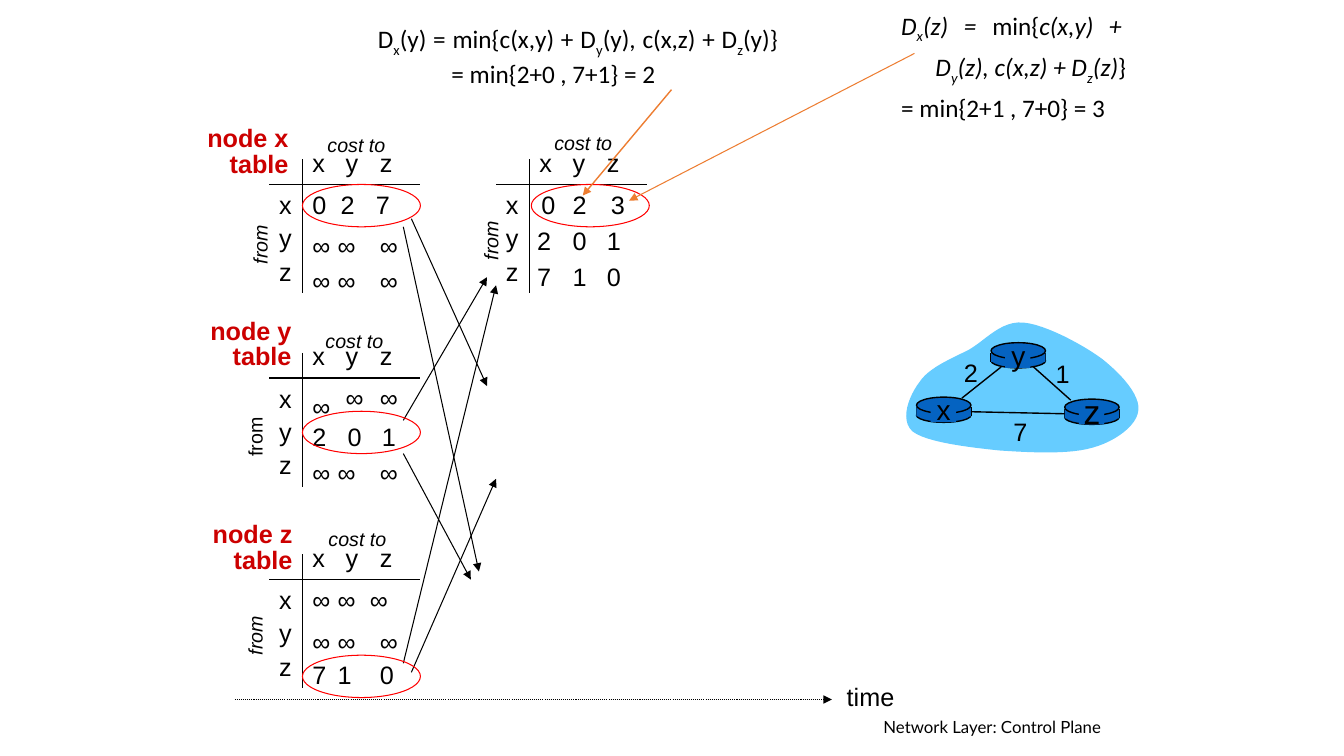
from lxml.etree import SubElement
from pptx import Presentation
from pptx.dml.color import RGBColor
from pptx.enum.dml import MSO_LINE
from pptx.enum.shapes import MSO_CONNECTOR, MSO_SHAPE
from pptx.enum.text import MSO_ANCHOR, MSO_AUTO_SIZE, PP_ALIGN
from pptx.oxml.ns import qn
from pptx.util import Inches, Pt


class Theme:
    """Colours, fonts and type sizes of the slide."""
    black = RGBColor(0, 0, 0)
    title = RGBColor(0xCC, 0, 0)
    ring = RGBColor(0xFF, 0, 0)
    callout = RGBColor(0xED, 0x7D, 0x31)
    cloud = RGBColor(0x66, 0xCC, 0xFF)
    router = RGBColor(0x05, 0x63, 0xC1)
    body_font, formula_font, footer_font = "Arial", "Calibri", "Lato"
    footer, small, body, large, huge = Pt(12), Pt(14), Pt(18), Pt(20), Pt(24)


def apply(target, values):
    """Set every attribute named in values on target."""
    for name, value in values.items():
        setattr(target, name, value)


class Board:
    """Draws the elements of the distance vector slide."""

    def __init__(self, slide, theme):
        self.theme = theme
        self.slide = slide
        self.shapes = slide.shapes

    def run(self, paragraph, text, **values):
        """Add one formatted run to a paragraph."""
        run = paragraph.add_run()
        run.text = text
        color = values.pop("color", self.theme.black)
        apply(run.font, {"name": self.theme.body_font, "size": self.theme.body} | values)
        run.font.color.rgb = color
        return run

    def box(self, left, top, width, height, wrap=False, grow=True, middle=False, turn=0):
        """Add an empty text box and return its text frame."""
        shape = self.shapes.add_textbox(*map(Inches, (left, top, width, height)))
        shape.rotation = turn
        apply(shape.text_frame, {
            "word_wrap": wrap,
            "auto_size": MSO_AUTO_SIZE.SHAPE_TO_FIT_TEXT if grow else MSO_AUTO_SIZE.NONE,
            "vertical_anchor": MSO_ANCHOR.MIDDLE if middle else MSO_ANCHOR.TOP})
        return shape.text_frame

    def text(self, place, lines, layout=None, tabs=(), frame=None, **values):
        """Add a text box with one paragraph per line."""
        text_frame = self.box(*place, **(frame or {}))
        for index, line in enumerate(lines.split("\n")):
            paragraph = text_frame.add_paragraph() if index else text_frame.paragraphs[0]
            apply(paragraph, layout or {})
            if tabs:
                stops = SubElement(paragraph._p.get_or_add_pPr(), qn("a:tabLst"))
                for stop in tabs:
                    SubElement(stops, qn("a:tab"), pos=str(Inches(stop)), algn="l")
            self.run(paragraph, line, **values)

    def row(self, left, top, values, tabs):
        """Add a row of tabbed values."""
        self.text((left, top, 1.08, 0.4), values, tabs=tabs, frame={"wrap": True})

    def cells(self, top, values, lefts=(3, 3.25, 3.67)):
        """Add one box for each value of a row."""
        for left, value in zip(lefts, values):
            self.text((left, top, 0.38, 0.4), value)

    def formula(self, place, paragraphs, hang, spacing=1.0):
        """Add a justified formula where an underscore marks a subscript letter."""
        text_frame = self.box(*place, middle=True)
        for index, parts in enumerate(paragraphs):
            paragraph = text_frame.add_paragraph() if index else text_frame.paragraphs[0]
            apply(paragraph, {"alignment": PP_ALIGN.JUSTIFY, "line_spacing": spacing})
            if not index:
                properties = paragraph._p.get_or_add_pPr()
                properties.set("marL", str(Inches(hang)))
                properties.set("indent", str(-Inches(hang)))
            for text, italic in parts:
                style = {"name": self.theme.formula_font, "italic": italic}
                if text == "\n":
                    paragraph.add_line_break()
                    continue
                first, *rest = text.split("_")
                self.run(paragraph, first, **style)
                for piece in rest:
                    subscript = self.run(paragraph, piece[0], **style)
                    subscript.font._rPr.set("baseline", "-25000")
                    self.run(paragraph, piece[1:], **style)

    def line(self, start, end, color=None, width=0.75, arrow=False, dash=None):
        """Add a straight line, with an arrowhead at its end if asked."""
        connector = self.shapes.add_connector(
            MSO_CONNECTOR.STRAIGHT, *map(Inches, (*start, *end)))
        connector.line.color.rgb = color or self.theme.black
        apply(connector.line, {"width": Pt(width), "dash_style": dash})
        if arrow:
            SubElement(connector.line._get_or_add_ln(), qn("a:tailEnd"), type="triangle")
        SubElement(connector._element.spPr, qn("a:effectLst"))
        return connector

    def paint(self, shape, fill=None, line=None, width=0.75):
        """Set the fill and outline of a shape."""
        shape.shadow.inherit = False
        for part, color in ((shape.fill, fill), (shape.line.fill, line)):
            if color is None:
                part.background()
            else:
                part.solid()
                part.fore_color.rgb = color
        if line is not None:
            shape.line.width = Pt(width)
        return shape

    def shape(self, kind, place, **style):
        """Add a preset shape."""
        return self.paint(self.shapes.add_shape(kind, *map(Inches, place)), **style)

    def cloud(self, start, curves, steps=12):
        """Add the network outline from cubic curves."""
        points, origin = [], start
        for corners in curves:
            for step in range(1, steps + 1):
                t = step / steps
                weights = ((1 - t) ** 3, 3 * t * (1 - t) ** 2, 3 * t * t * (1 - t), t ** 3)
                points.append(tuple(
                    Inches(sum(w * p[axis] for w, p in zip(weights, (origin, *corners))))
                    for axis in (0, 1)))
            origin = corners[-1]
        builder = self.shapes.build_freeform(*map(Inches, start))
        builder.add_line_segments(points, close=True)
        self.paint(builder.convert_to_shape(), fill=self.theme.cloud)

    def router(self, left, top, name, size, width, height):
        """Add a router drum with its name and return its band."""
        blue, black = self.theme.router, self.theme.black
        self.shape(MSO_SHAPE.OVAL, (left, top + 0.11, 0.54, 0.14), fill=blue, line=black, width=1)
        for side in (left, left + 0.54):
            self.line((side, top + 0.1), (side, top + 0.19), width=1)
        band = self.shape(MSO_SHAPE.RECTANGLE, (left, top + 0.1, 0.54, 0.09), fill=blue)
        self.shape(MSO_SHAPE.OVAL, (left, top, 0.54, 0.16), fill=blue, line=black, width=1)
        self.shape(MSO_SHAPE.RECTANGLE, (left + 0.14, top + 0.02, 0.25, 0.23), fill=blue)
        self.text((left + 0.27 - width / 2, top + 0.12 - height / 2, width, height), name,
                  {"alignment": PP_ALIGN.CENTER}, size=size)
        return band

    def table(self, left, top, cost, source, upright=False):
        """Add the axes and headings of one distance table."""
        self.line((left, top), (left, top + 1.33))
        self.line((left - 0.33, top + 0.25), (left + 1.17, top + 0.25))
        self.row(left, top - 0.17, "x\ty\tz", (0.33, 0.67))
        for index, name in enumerate("xyz"):
            self.text((left - 0.33, top + 0.25 + index * 0.33, 0.33, 0.4), name)
        self.text((*cost, 0.9, 0.33), "cost to", frame={"wrap": True},
                  size=self.theme.small, italic=True)
        self.text((*source, 0.59, 0.33), "from", frame={"turn": 270},
                  size=self.theme.small, italic=not upright)

    def network(self):
        """Add the grouped network of three routers."""
        self.shapes = self.slide.shapes.add_group_shape().shapes
        self.cloud((9.12, 3.79), (
            ((9.21, 3.65), (9.43, 3.56), (9.61, 3.47)), ((9.78, 3.37), (9.93, 3.18), (10.15, 3.2)),
            ((10.37, 3.22), (10.74, 3.42), (10.93, 3.56)), ((11.12, 3.71), (11.31, 3.92), (11.29, 4.07)),
            ((11.28, 4.22), (11.06, 4.38), (10.84, 4.44)), ((10.61, 4.51), (10.22, 4.49), (9.92, 4.47)),
            ((9.63, 4.44), (9.19, 4.39), (9.05, 4.28)), ((8.92, 4.16), (9.02, 3.92), (9.12, 3.79))))
        self.line((9.54, 3.95), (9.93, 3.64), width=1)
        self.line((10.25, 3.64), (10.62, 3.97), width=1)
        router_x = self.router(9.09, 3.94, "x", self.theme.large, 0.34, 0.43)
        router_z = self.router(10.56, 3.96, "z", self.theme.huge, 0.37, 0.5)
        self.router(9.83, 3.4, "y", self.theme.large, 0.34, 0.43)
        link = self.line((9.63, 4.09), (10.56, 4.11), width=1)
        link.begin_connect(router_x, 3)
        link.end_connect(router_z, 1)
        for left, top, cost in ((10.37, 3.51, "1"), (9.46, 3.5, "2"), (9.95, 4.08, "7")):
            self.text((left, top, 0.34, 0.4), cost, {"alignment": PP_ALIGN.CENTER})
        self.shapes = self.slide.shapes


def main():
    """Build and save the slide."""
    presentation = Presentation()
    apply(presentation, {"slide_width": Inches(13.33), "slide_height": Inches(7.5)})
    theme = Theme()
    board = Board(presentation.slides.add_slide(presentation.slide_layouts[6]), theme)

    board.table(3, 1.58, (3.15, 1.27), (2.28, 2.26))
    board.table(5.25, 1.58, (5.4, 1.25), (4.57, 2.22))
    board.table(3, 3.5, (3.13, 3.21), (2.23, 4.17), upright=True)
    board.table(3, 5.5, (3.16, 5.18), (2.23, 6.14))
    board.row(3, 1.83, "0\t2\t7", (0.28, 0.63))
    for top in (2.24, 2.58, 4.49, 6.16):
        board.cells(top, "∞∞∞")
    board.cells(3.74, "∞∞", (3.33, 3.67))
    board.cells(6.49, "710")
    board.row(3, 3.83, "∞\n2\t0\t1", (0.35, 0.69))
    board.row(3, 5.75, "∞\t∞\t∞", (0.25, 0.57))
    board.row(5.23, 2.19, "2\t0\t1", (0.35, 0.69))
    board.row(5.23, 2.54, "7\t1\t0", (0.35, 0.69))
    board.cells(1.83, "023", (5.27, 5.58, 5.96))

    for start, end in (((4.08, 2.17), (4.83, 3.83)), ((4, 2.25), (4.75, 5.67)),
                       ((4, 4.17), (4.83, 2.75)), ((4, 4.5), (4.67, 5.75)),
                       ((4, 6.58), (4.92, 2.83)), ((4.08, 6.67), (4.92, 4.75))):
        board.line(start, end, arrow=True)
    board.line((2.33, 6.94), (8.25, 6.94), arrow=True, dash=MSO_LINE.ROUND_DOT)
    board.text((8.3, 6.71, 0.67, 0.4), "time")
    board.network()

    for left, top, name in ((1.95, 1.21, "x"), (1.98, 3.12, "y"), (1.99, 5.14, "z")):
        board.text((left, top, 1.01, 0.61), f"node {name}\ntable",
                   {"alignment": PP_ALIGN.RIGHT, "line_spacing": 0.85}, color=theme.title, bold=True)
    for left, top in ((3, 1.83), (3, 4.08), (3, 6.5), (5.27, 1.83)):
        board.shape(MSO_SHAPE.OVAL, (left, top, 1.17, 0.42), line=theme.ring)

    board.formula((3.65, 0.2, 4.23, 0.71), [[
        ("D_x(y) = min{c(x,y) + D_y(y), c(x,z) + D_z(y)} ", False), ("\n", False),
        ("= min{2+0 , 7+1} = 2", False)]], hang=0.73)
    board.formula((8.84, 0.03, 2.54, 1.19), [
        [("D_x(z) = ", True), ("min{", False), ("c(x,y) + ", True), ("\n", True),
         ("D_y(z), c(x,z) + D_z(z)", True), ("} ", False)],
        [("= min{2+1 , 7+0} = 3", False)]], hang=0.34, spacing=1.2)
    board.line((6.66, 0.89), (5.78, 1.94), theme.callout, 1, arrow=True)
    board.line((9.07, 0.53), (6.24, 1.99), theme.callout, arrow=True)
    board.text((8.64, 7.08, 2.38, 0.26), "Network Layer: Control Plane", {"alignment": PP_ALIGN.RIGHT},
               frame={"wrap": True, "grow": False, "middle": True},
               name=theme.footer_font, size=theme.footer)
    presentation.save("out.pptx")


if __name__ == "__main__":
    main()
